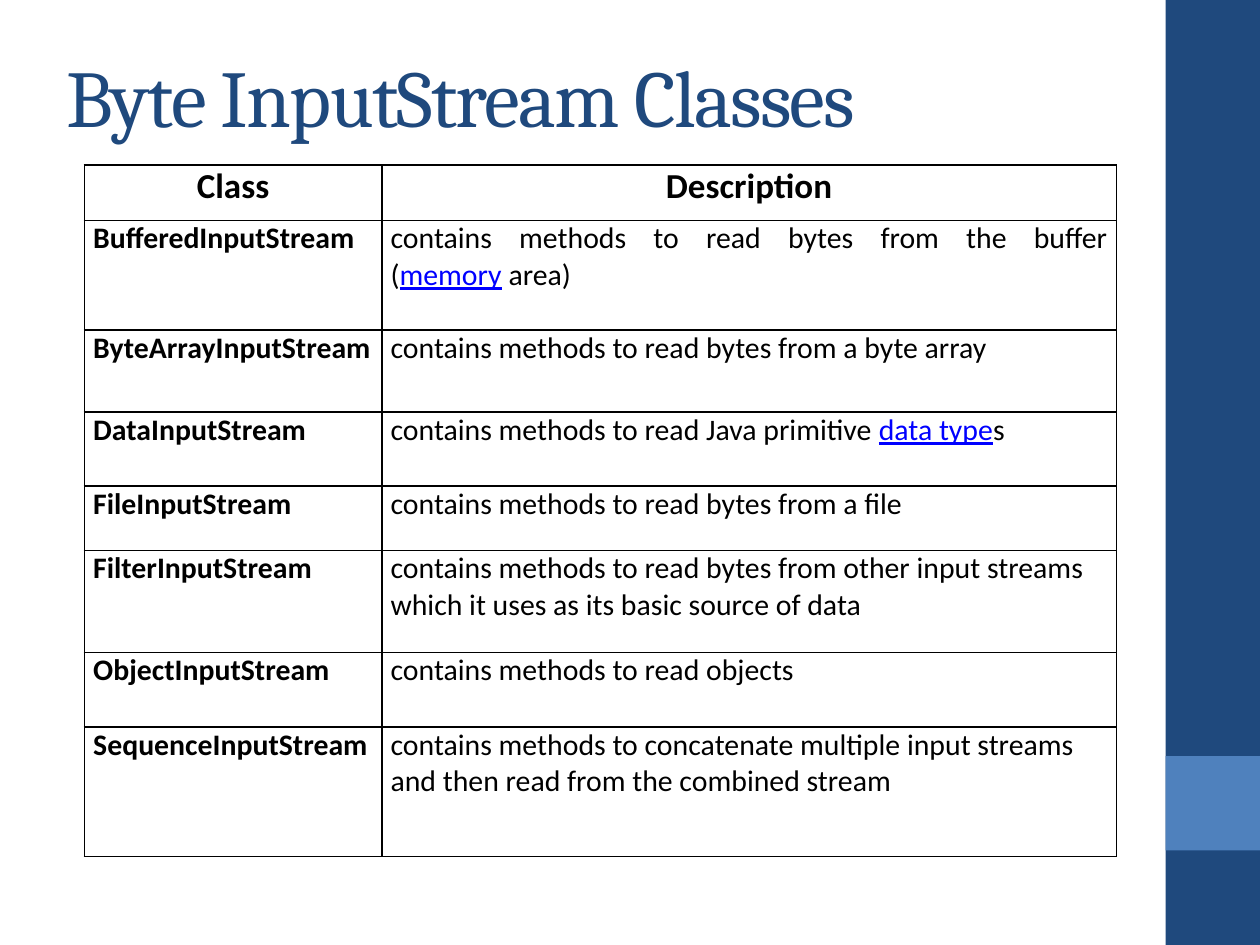
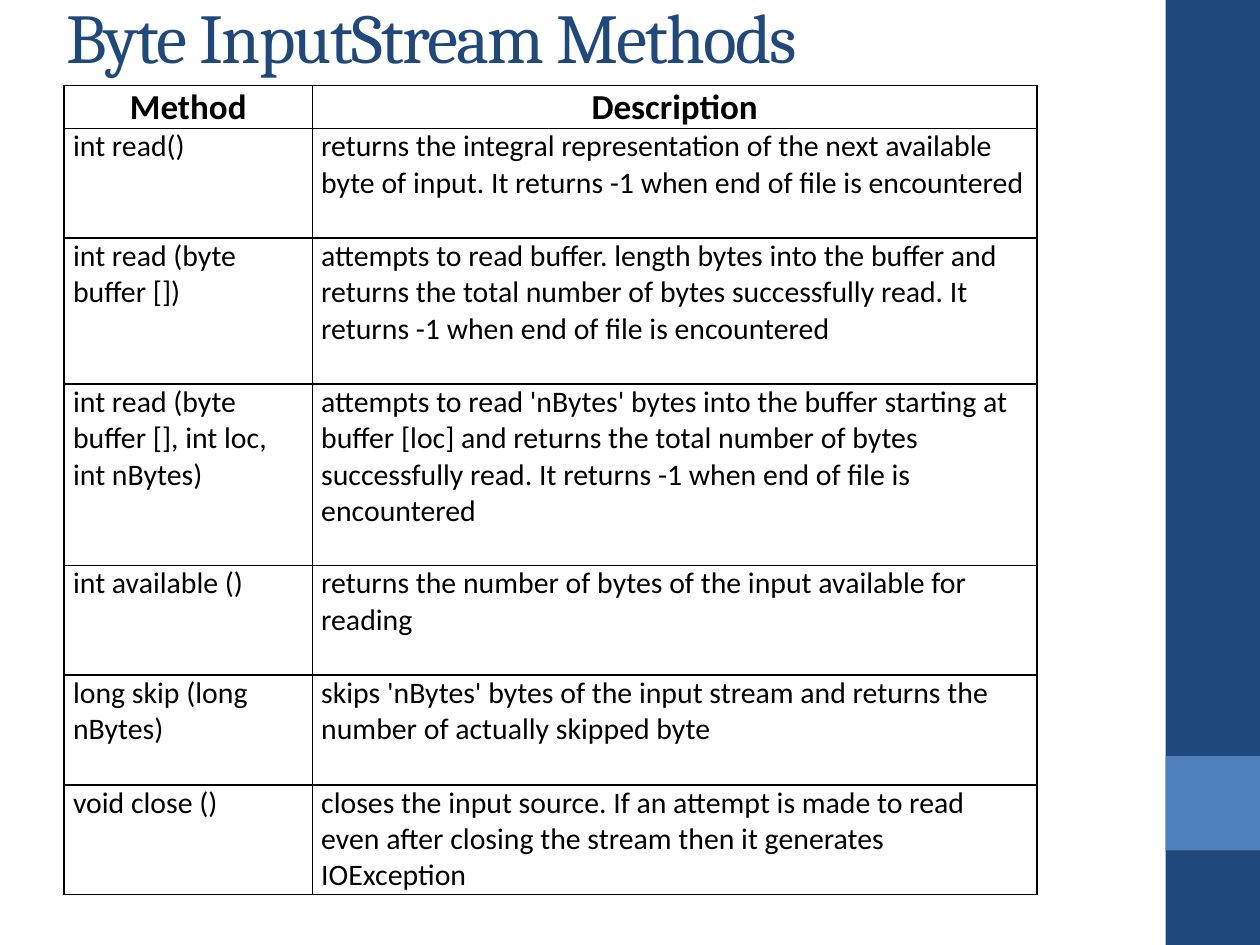
from lxml import etree
from pptx import Presentation
from pptx import util as u
from pptx.dml.color import RGBColor
from pptx.enum import shapes, text
from pptx.oxml.ns import qn

NAVY, BLUE, LINK, BLACK, WHITE = "1F497D", "4F81BD", "0000FF", "000000", "FFFFFF"
HEADING_FONT, BODY_FONT = "Cambria", "Calibri"
LEFT, CENTER, JUSTIFY = text.PP_ALIGN.LEFT, text.PP_ALIGN.CENTER, text.PP_ALIGN.JUSTIFY

# A description is a list of spans; every second span is underlined like a link.
CLASSES = [
    ("BufferedInputStream",
     ["contains methods to read bytes from the buffer (", "memory", "\u00a0area)"], JUSTIFY, 0.87),
    ("ByteArrayInputStream", ["contains methods to read bytes from a byte array"], JUSTIFY, 0.65),
    ("DataInputStream",
     ["contains methods to read Java primitive\u00a0", "data type", "s"], JUSTIFY, 0.59),
    ("FileInputStream", ["contains methods to read bytes from a file"], JUSTIFY, 0.51),
    ("FilterInputStream",
     ["contains methods to read bytes from other input streams which it uses "
      "as its basic source of data"], LEFT, 0.81),
    ("ObjectInputStream", ["contains methods to read objects"], JUSTIFY, 0.59),
    ("SequenceInputStream",
     ["contains methods to concatenate multiple input streams and then read "
      "from the combined stream"], LEFT, 1.03),
]

METHODS = [
    ("int read()",
     ["returns the integral representation of the next available byte of input. "
      "It returns -1 when end of file is encountered"], LEFT, 0.87),
    ("int read (byte buffer [])",
     ["attempts to read buffer. length bytes into the buffer and returns the total number "
      "of bytes successfully read. It returns -1 when end of file is encountered"], LEFT, 1.16),
    ("int read (byte buffer [], int loc, int nBytes)",
     ["attempts to read 'nBytes' bytes into the buffer starting at buffer [loc] and returns "
      "the total number of bytes successfully read. It returns -1 when end of file is "
      "encountered"], LEFT, 1.44),
    ("int available ()",
     ["returns the number of bytes of the input available for reading"], LEFT, 0.87),
    ("long skip (long nBytes)",
     ["skips 'nBytes' bytes of the input stream and returns the number of actually "
      "skipped byte"], LEFT, 0.87),
    ("void close ()",
     ["closes the input source. If an attempt is made to read even after closing the stream "
      "then it generates IOException"], LEFT, 0.87),
]


def color(value):
    return RGBColor.from_string(value)


def inches(*lengths):
    return [u.Inches(length) for length in lengths]


def write(frame, spans, size, font=BODY_FONT, fill=BLACK, bold=False, align=LEFT, spacing=None):
    """Fill the first paragraph of a frame; odd spans look like links."""
    para = frame.paragraphs[0]
    para.alignment = align
    for index, words in enumerate(spans):
        is_link = index % 2 == 1
        span = para.add_run()
        span.text = words
        span.font.name = font
        span.font.size = u.Pt(size)
        span.font.bold = bold
        span.font.underline = is_link
        span.font.color.rgb = color(LINK if is_link else fill)
        if spacing is not None:
            span.font._element.set("spc", str(spacing * 100))


def add_band(page, box, fill):
    band = page.shapes.add_shape(shapes.MSO_SHAPE.RECTANGLE, *inches(*box))
    band.shadow.inherit = False
    band.fill.solid()
    band.fill.fore_color.rgb = color(fill)
    band.line.fill.background()


def add_title(page, words, top, size):
    box = page.shapes.add_textbox(*inches(0.43, top, 8.33, 1.25))
    frame = box.text_frame
    frame.word_wrap = True
    frame.vertical_anchor = text.MSO_ANCHOR.MIDDLE
    write(frame, [words], size, font=HEADING_FONT, fill=NAVY, spacing=-1)


def add_page(deck, title, top, size):
    """Start a page with the side bands and a title."""
    page = deck.slides.add_slide(deck.slide_layouts[6])
    add_band(page, (9.25, 0, 0.75, 7.5), NAVY)
    add_band(page, (9.25, 6, 0.75, 0.75), BLUE)
    add_title(page, title, top, size)
    return page


def style_cell(cell):
    cell.margin_left = cell.margin_right = u.Inches(0.07)
    cell.margin_top = cell.margin_bottom = 0
    properties = cell._tc.get_or_add_tcPr()
    for side in ("lnL", "lnR", "lnT", "lnB"):
        border = etree.SubElement(properties, qn("a:" + side), w=str(u.Pt(1)))
        solid = etree.SubElement(border, qn("a:solidFill"))
        etree.SubElement(solid, qn("a:srgbClr"), val=BLACK)
    cell.fill.solid()
    cell.fill.fore_color.rgb = color(WHITE)


def add_listing(page, left, top, widths, header, header_height, entries,
                name_bold=False, name_align=LEFT):
    """Add a two-column table of names and descriptions."""
    heights = [header_height] + [entry[3] for entry in entries]
    table = page.shapes.add_table(
        len(heights), len(widths), *inches(left, top, sum(widths), sum(heights))).table
    for column, width in zip(table.columns, widths):
        column.width = u.Inches(width)
    for row, height in zip(table.rows, heights):
        row.height = u.Inches(height)
    for cell in table.iter_cells():
        style_cell(cell)
    for column, label in enumerate(header):
        write(table.cell(0, column).text_frame, [label], 20, bold=True, align=CENTER)
    for row, (name, description, align, _) in enumerate(entries, start=1):
        write(table.cell(row, 0).text_frame, [name], 17, bold=name_bold, align=name_align)
        write(table.cell(row, 1).text_frame, description, 17, align=align)


def add_classes_page(deck):
    page = add_page(deck, "Byte InputStream Classes", 0.13, 46)
    add_listing(page, 0.67, 1.31, (2.36, 5.83), ("Class", "Description"), 0.44, CLASSES,
                name_bold=True, name_align=JUSTIFY)


def add_methods_page(deck):
    page = add_page(deck, "Byte InputStream Methods", -0.34, 40)
    add_listing(page, 0.51, 0.68, (1.97, 5.75), ("Method", "Description"), 0.34, METHODS)


def main():
    deck = Presentation()
    deck.slide_width, deck.slide_height = inches(10, 7.5)
    add_classes_page(deck)
    add_methods_page(deck)
    deck.save("out.pptx")


if __name__ == "__main__":
    main()
